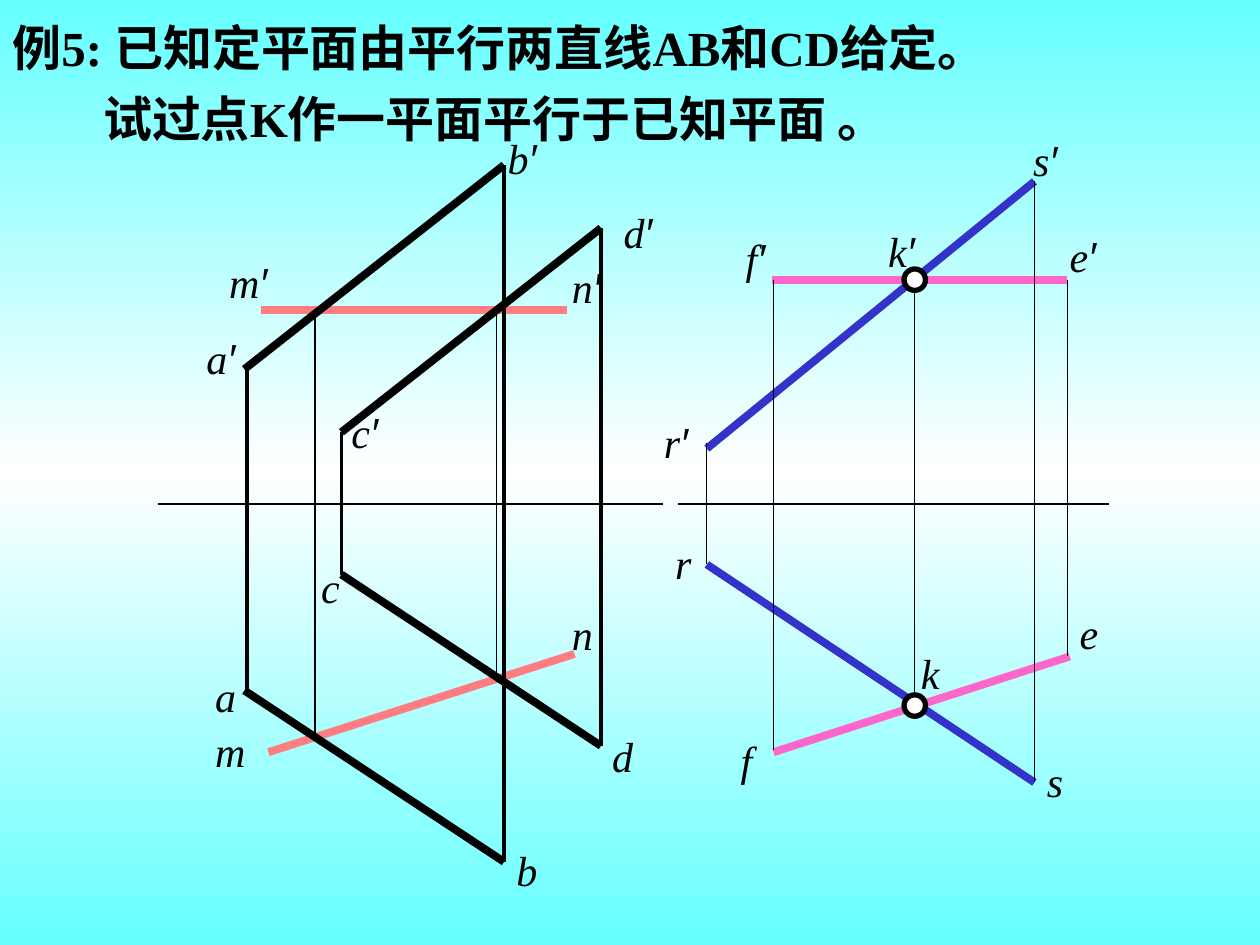
from dataclasses import dataclass

from pptx import Presentation
from pptx.dml.color import RGBColor
from pptx.enum.shapes import MSO_CONNECTOR, MSO_SHAPE
from pptx.enum.text import MSO_AUTO_SIZE
from pptx.oxml.ns import qn
from pptx.util import Inches, Pt
from lxml.etree import SubElement


@dataclass(frozen=True)
class Theme:
    """Colours, fonts, type sizes and line widths."""
    ink: str = "000000"
    paper: str = "FFFFFF"
    sky: str = "66FFFF"
    salmon: str = "FF7C80"
    pink: str = "FF66CC"
    blue: str = "3333CC"
    serif: str = "Times New Roman"
    sans: str = "Arial"
    title: int = 28
    label: int = 24
    thick: float = 4.5
    ring: float = 3
    thin: float = 0.75
    hair: float = 0


T = Theme()
COLS, ROWS = 100, 75
WIDTH, HEIGHT = Inches(10), Inches(7.5)

TITLE = (("例5: 已知定平面由平行两直线AB和CD给定。", 0),
         ("试过点K作一平面平行于已知平面 。", 7.2))

POINTS = {
    "a′": (19.4, 29.3), "b′": (40, 13.1), "c′": (27.1, 34.3), "d′": (47.7, 18.1),
    "a": (19.4, 54.8), "b": (40, 68.4), "c": (27.1, 45.6), "d": (47.7, 59.2),
    "m′": (20.7, 24.6), "n′": (45, 24.6), "m": (21.3, 59.7), "n": (45.6, 51.9),
    "r′": (56.1, 35.6), "s′": (82.1, 14.4), "r": (56.1, 44.8), "s": (82.1, 62.1),
    "f′": (61.3, 22.2), "e′": (84.7, 22.2), "f": (61.4, 59.7), "e": (84.9, 52.1),
    "k′": (72.6, 22.2), "k": (72.6, 56),
}

AUXILIARY = (("m′", "n′", T.salmon), ("m", "n", T.salmon),
             ("f′", "e′", T.pink), ("r", "s", T.blue),
             ("f", "e", T.pink), ("r′", "s′", T.blue))
GIVEN = (("a′", "b′", T.ink), ("c′", "d′", T.ink), ("a", "b", T.ink), ("c", "d", T.ink))

PROJECTORS = ((39.4, 24.6, 54.1), (25, 24.6, 58.5), (84.7, 22.2, 52.1),
              (61.4, 22.2, 59.5), (82.1, 14.4, 62.1), (56.1, 35.2, 44.8),
              (72.6, 22.2, 56))
HAIRLINES = ((47.7, 18.1, 59.2), (27.1, 34.3, 45.6), (40, 13.1, 68.4), (19.6, 29.3, 54.8))
AXES = ((12.5, 52.6), (53.8, 88))
AXIS_ROW = 40

LABELS = {
    "a′": (15.4, 25.9), "b′": (39.3, 10), "c′": (26.9, 31.8), "d′": (48.5, 15.9),
    "a": (16.1, 52.7), "b": (40, 66.5), "c": (24.5, 44.1), "d": (47.6, 57.5),
    "m′": (17.2, 19.9), "n′": (44.4, 20.3), "m": (16.1, 57.1), "n": (44.4, 47.8),
    "r′": (51.7, 32.6), "s′": (81, 10.2), "r": (52.6, 42.2), "s": (82.1, 59.5),
    "f′": (58.2, 18), "e′": (83.9, 17.8), "f": (57.8, 57.8), "e": (84.7, 47.7),
    "k′": (69.5, 17.4), "k": (72.1, 50.9),
}
LABEL_SIZE = (6.9, 5)
RING_SIZE = 1.7


def x(col):
    """Return the length of a number of grid columns."""
    return round(WIDTH * col / COLS)


def y(row):
    """Return the length of a number of grid rows."""
    return round(HEIGHT * row / ROWS)


def paint_background(s):
    """Fill the background with a vertical three-stop gradient."""
    fill = s.background.fill
    fill.gradient()
    fill.gradient_angle = 90
    stops = next(s.element.iter(qn("a:gsLst")))
    for stop in list(stops):
        stops.remove(stop)
    for share, color in ((0, T.sky), (50, T.paper), (100, T.sky)):
        stop = SubElement(stops, qn("a:gs"), pos=str(share * 1000))
        SubElement(stop, qn("a:srgbClr"), val=color)


def add_line(s, start, end, color, width):
    """Draw a straight line between two grid places."""
    (c1, r1), (c2, r2) = start, end
    sp = s.shapes.add_connector(MSO_CONNECTOR.STRAIGHT, x(c1), y(r1), x(c2), y(r2))
    sp.line.color.rgb = RGBColor.from_string(color)
    sp.line.width = Pt(width)
    SubElement(sp.element.spPr, qn("a:effectLst"))


def add_segments(s, segments):
    """Draw thick lines between named points."""
    for start, end, color in segments:
        add_line(s, POINTS[start], POINTS[end], color, T.thick)


def add_verticals(s, verticals, width):
    """Draw thin projection lines down the grid."""
    for col, top, bottom in verticals:
        add_line(s, (col, top), (col, bottom), T.ink, width)


def add_ring(s, center):
    """Mark a point with a white circle."""
    col, row = center
    half = RING_SIZE / 2
    sp = s.shapes.add_shape(MSO_SHAPE.OVAL, x(col - half), y(row - half),
                            x(RING_SIZE), y(RING_SIZE))
    sp.shadow.inherit = False
    sp.fill.solid()
    sp.fill.fore_color.rgb = RGBColor.from_string(T.paper)
    sp.line.color.rgb = RGBColor.from_string(T.ink)
    sp.line.width = Pt(T.ring)


def add_box(s, col, row, cols, rows):
    """Add a wrapping text box and return its text frame."""
    tf = s.shapes.add_textbox(x(col), y(row), x(cols), y(rows)).text_frame
    tf.word_wrap = True
    return tf


def add_run(p, text, font, size, bold=False, italic=False):
    """Add one styled run to a paragraph."""
    r = p.add_run()
    r.text = text
    r.font.name = font
    r.font.size = Pt(size)
    r.font.bold = bold
    r.font.italic = italic
    r.font.color.rgb = RGBColor.from_string(T.ink)


def add_title(s):
    """Write the two lines of the problem."""
    tf = add_box(s, 0, 0, 97.9, 13.3)
    for i, (text, indent) in enumerate(TITLE):
        p = tf.add_paragraph() if i else tf.paragraphs[0]
        p.line_spacing = 1.2
        p._p.get_or_add_pPr().set("marL", str(x(indent)))
        add_run(p, text, T.serif, T.title, bold=True)


def add_label(s, name, place):
    """Write the name of a point, with its prime in the sans font."""
    tf = add_box(s, *place, *LABEL_SIZE)
    tf.auto_size = MSO_AUTO_SIZE.SHAPE_TO_FIT_TEXT
    p = tf.paragraphs[0]
    for char in name:
        add_run(p, char, T.sans if char == "′" else T.serif, T.label, italic=True)


def main():
    """Build the slide and save it."""
    prs = Presentation()
    prs.slide_width, prs.slide_height = WIDTH, HEIGHT
    s = prs.slides.add_slide(prs.slide_layouts[6])
    paint_background(s)
    add_title(s)
    add_segments(s, AUXILIARY)
    add_verticals(s, PROJECTORS, T.thin)
    add_segments(s, GIVEN)
    add_verticals(s, HAIRLINES, T.hair)
    for left, right in AXES:
        add_line(s, (left, AXIS_ROW), (right, AXIS_ROW), T.ink, T.thin)
    for name in ("k′", "k"):
        add_ring(s, POINTS[name])
    for name, place in LABELS.items():
        add_label(s, name, place)
    prs.save("out.pptx")


if __name__ == "__main__":
    main()
